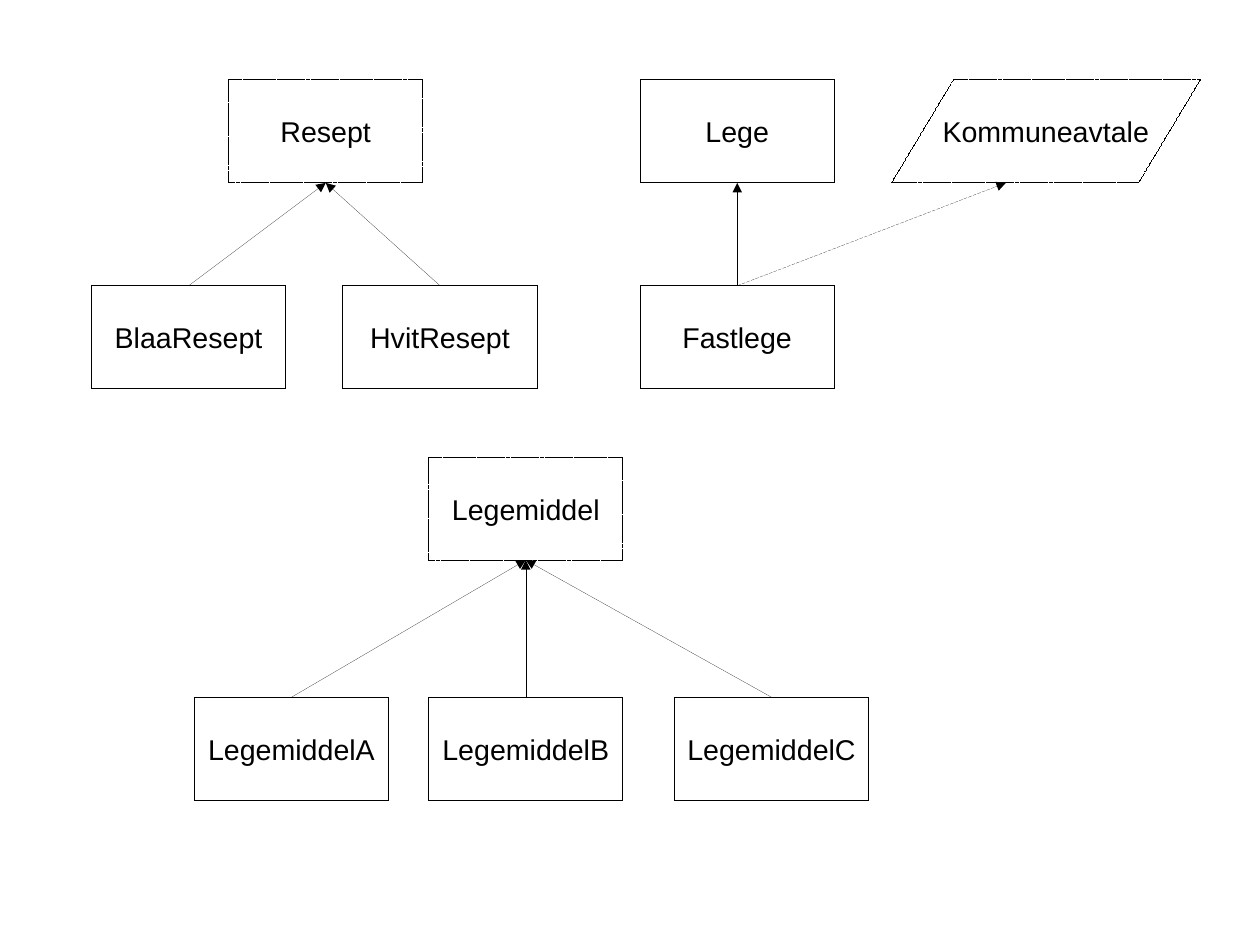
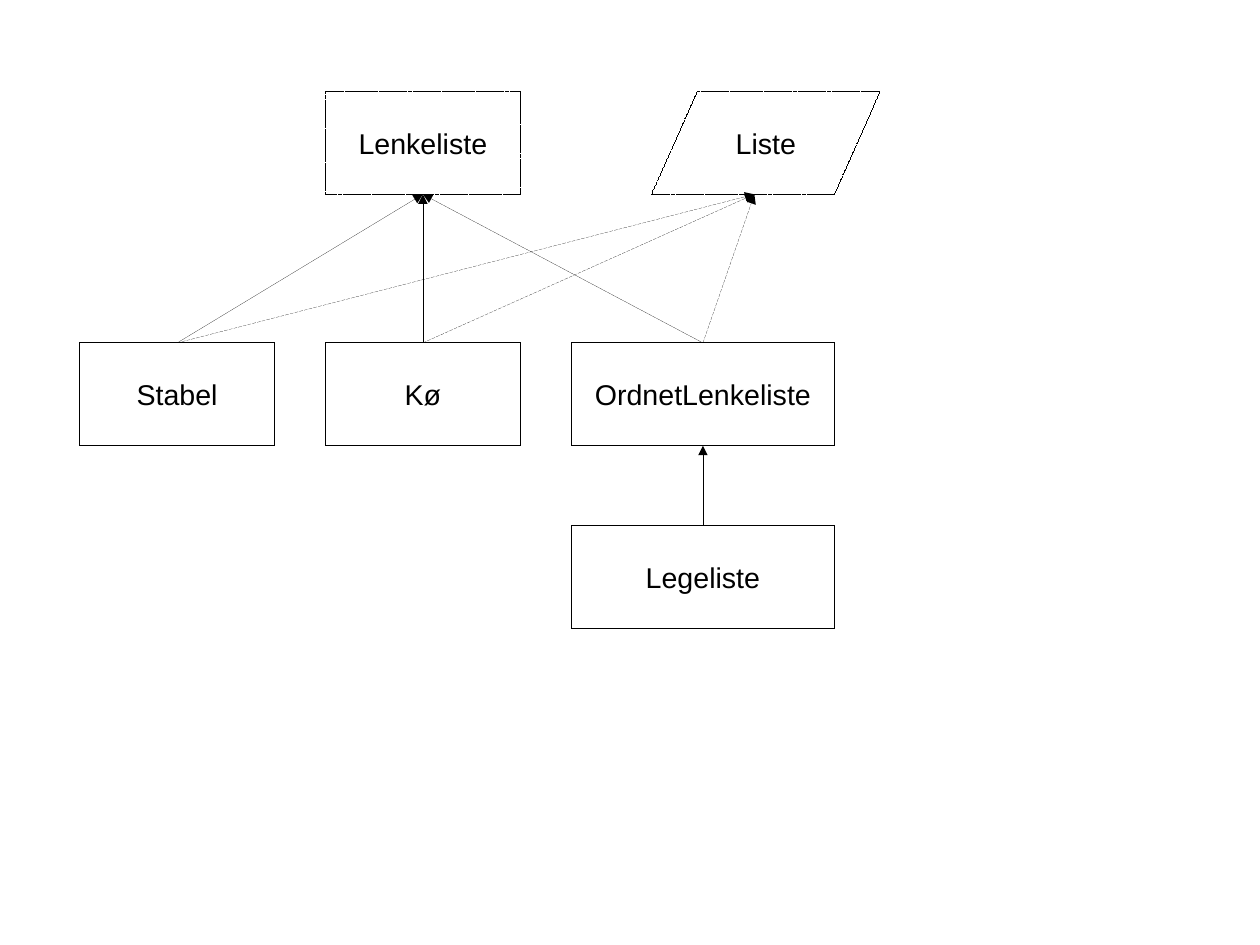
from pptx import Presentation
from pptx.dml.color import RGBColor
from pptx.enum.dml import MSO_LINE
from pptx.enum.shapes import MSO_CONNECTOR, MSO_SHAPE
from pptx.enum.text import MSO_ANCHOR, PP_ALIGN
from pptx.oxml.ns import qn
from pptx.util import Inches, Pt
from lxml.etree import SubElement

# Shared style
INK = "000000"
FONT = "Arial"
WIDE, TALL = 1.7, 0.9
TOP, BOTTOM = 0, 2


def color(code):
    return RGBColor.from_string(code)


def stroke(shape, dash=False):
    """Draw a hairline, free of the theme's line width."""
    style = shape._element.find(qn("p:style"))
    shape._element.remove(style)
    shape.line.color.rgb = color(INK)
    shape.line.width = Pt(0)
    if dash:
        shape.line.dash_style = MSO_LINE.SQUARE_DOT


def write(shape, text, size=18, font=FONT, ink=INK, align=PP_ALIGN.CENTER):
    frame = shape.text_frame
    frame.word_wrap = False
    frame.vertical_anchor = MSO_ANCHOR.MIDDLE
    para = frame.paragraphs[0]
    para.alignment = align
    run = para.add_run()
    run.text = text
    run.font.size = Pt(size)
    run.font.name = font
    run.font.color.rgb = color(ink)


def node(slide, text, x, y, wide=WIDE, dash=False,
         kind=MSO_SHAPE.FLOWCHART_PROCESS):
    shape = slide.shapes.add_shape(
        kind, Inches(x), Inches(y), Inches(wide), Inches(TALL))
    shape.shadow.inherit = False
    shape.fill.background()
    stroke(shape, dash)
    write(shape, text)
    return shape


def face(slide, text, x, y, wide):
    """An interface: a dashed parallelogram."""
    return node(slide, text, x, y, wide, True, MSO_SHAPE.FLOWCHART_DATA)


def arrow(slide, child, parent, reach=None):
    """Point up to a parent class, or dashed to an interface's lower edge."""
    end = Inches(reach) if reach else parent.width // 2
    line = slide.shapes.add_connector(
        MSO_CONNECTOR.STRAIGHT,
        child.left + child.width // 2, child.top,
        parent.left + end, parent.top + parent.height)
    line.begin_connect(child, TOP)
    if not reach:
        line.end_connect(parent, BOTTOM)
    stroke(line, bool(reach))
    SubElement(line.line._ln, qn("a:tailEnd"), type="triangle")
    SubElement(line._element.spPr, qn("a:effectLst"))


def family(slide, x, y, root, kids, drop):
    """An abstract class (name, offset) above its subclasses."""
    name, shift = root
    base = node(slide, name, x + shift, y, dash=True)
    shapes = []
    for name, shift, wide in kids:
        kid = node(slide, name, x + shift, y + drop, wide)
        arrow(slide, kid, base)
        shapes.append(kid)
    return shapes


def doctors(slide, x, y):
    """The doctor classes and their contract."""
    base = node(slide, "Lege", x, y)
    deal = face(slide, "Kommuneavtale", x + 2.2, y, 2.7)
    kid = node(slide, "Fastlege", x, y + 2 * TALL)
    arrow(slide, kid, base)
    arrow(slide, kid, deal, reach=1)


def lists(slide, x, y):
    """The list classes, all of which follow one interface."""
    kids = family(slide, x, y, ("Lenkeliste", 2.15), [
        ("Stabel", 0, WIDE),
        ("Kø", 2.15, WIDE),
        ("OrdnetLenkeliste", 4.3, 2.3)], 2.2)
    base = face(slide, "Liste", x + 5, y, 2)
    for kid in kids:
        arrow(slide, kid, base, reach=0.9)
    leaf = node(slide, "Legeliste", x + 4.3, y + 3.8, 2.3)
    arrow(slide, leaf, kids[-1])


def main():
    deck = Presentation()
    # 28 by 21 centimetres
    deck.slide_width = Inches(28 / 2.54)
    deck.slide_height = Inches(21 / 2.54)
    blank = deck.slide_layouts[6]

    # Prescriptions, doctors and drugs
    slide = deck.slides.add_slide(blank)
    family(slide, 0.8, 0.7, ("Resept", 1.2), [
        ("BlaaResept", 0, WIDE), ("HvitResept", 2.2, WIDE)], 1.8)
    doctors(slide, 5.6, 0.7)
    family(slide, 1.7, 4, ("Legemiddel", 2.05), [
        ("LegemiddelA", 0, WIDE),
        ("LegemiddelB", 2.05, WIDE),
        ("LegemiddelC", 4.2, WIDE)], 2.1)

    # Lists
    lists(deck.slides.add_slide(blank), 0.7, 0.8)
    deck.save("out.pptx")


if __name__ == "__main__":
    main()
